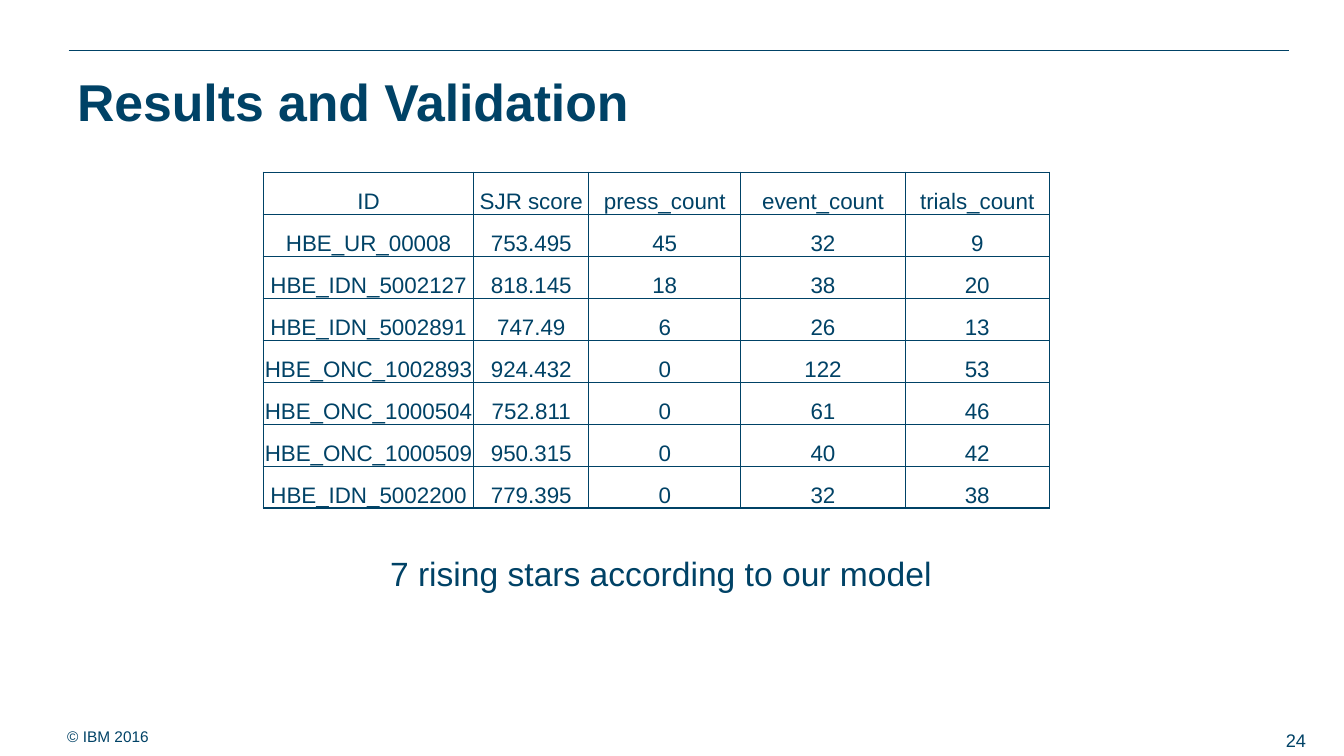
from lxml import etree
from pptx import Presentation
from pptx.dml.color import RGBColor
from pptx.enum.shapes import MSO_CONNECTOR
from pptx.enum.text import MSO_ANCHOR as Anchor, PP_ALIGN as Align
from pptx.oxml.ns import qn
from pptx.util import Pt

TITLE = "Results and Validation"
CAPTION = "7 rising stars according to our model"
COPYRIGHT = "© IBM 2016"
PAGE_NUMBER = "24"
RESULTS = [
    ("ID", "SJR score", "press_count", "event_count", "trials_count"),
    ("HBE_UR_00008", "753.495", "45", "32", "9"),
    ("HBE_IDN_5002127", "818.145", "18", "38", "20"),
    ("HBE_IDN_5002891", "747.49", "6", "26", "13"),
    ("HBE_ONC_1002893", "924.432", "0", "122", "53"),
    ("HBE_ONC_1000504", "752.811", "0", "61", "46"),
    ("HBE_ONC_1000509", "950.315", "0", "40", "42"),
    ("HBE_IDN_5002200", "779.395", "0", "32", "38"),
]
COLUMN_WIDTHS = (150.5, 82, 108.7, 117.4, 103)
ROW_HEIGHT = 30
TABLE_LEFT, TABLE_TOP = 188, 123
NAVY = "004266"
FONT = "Arial"


def color(value):
    return RGBColor.from_string(value)


def write(frame, text, size, bold=False, align=Align.LEFT):
    paragraph = frame.paragraphs[0]
    paragraph.alignment = align
    run = paragraph.add_run()
    run.text = text
    run.font.name = FONT
    run.font.size = Pt(size)
    run.font.bold = bold
    run.font.color.rgb = color(NAVY)


def add_text(slide, text, box, size, inset=(7.2, 3.6), anchor=Anchor.TOP, **text_format):
    frame = slide.shapes.add_textbox(*map(Pt, box)).text_frame
    frame.word_wrap = True
    frame.vertical_anchor = anchor
    frame.margin_left = frame.margin_right = Pt(inset[0])
    frame.margin_top = frame.margin_bottom = Pt(inset[1])
    write(frame, text, size, **text_format)


def add_top_rule(slide):
    rule = slide.shapes.add_connector(
        MSO_CONNECTOR.STRAIGHT, Pt(49), Pt(36), Pt(921), Pt(36))
    rule.line.color.rgb = color(NAVY)
    rule.line.width = Pt(0.75)
    etree.SubElement(rule._element.spPr, qn("a:effectLst"))


def set_borders(cell):
    properties = cell._tc.get_or_add_tcPr()
    for position, side in enumerate(("a:lnL", "a:lnR", "a:lnT", "a:lnB")):
        border = etree.Element(qn(side), w=str(Pt(1)))
        fill = etree.SubElement(border, qn("a:solidFill"))
        etree.SubElement(fill, qn("a:srgbClr"), val=NAVY)
        properties.insert(position, border)


def add_results(slide):
    table = slide.shapes.add_table(
        len(RESULTS), len(COLUMN_WIDTHS), Pt(TABLE_LEFT), Pt(TABLE_TOP),
        Pt(sum(COLUMN_WIDTHS)), Pt(ROW_HEIGHT * len(RESULTS))).table
    table.first_row = table.horz_banding = False
    for column, width in zip(table.columns, COLUMN_WIDTHS):
        column.width = Pt(width)
    for row, values in zip(table.rows, RESULTS):
        row.height = Pt(ROW_HEIGHT)
        for cell, value in zip(row.cells, values):
            cell.fill.background()
            cell.vertical_anchor = Anchor.BOTTOM
            cell.margin_left = cell.margin_right = cell.margin_top = Pt(0.75)
            cell.margin_bottom = 0
            write(cell.text_frame, value, 16, align=Align.CENTER)
            set_borders(cell)


def main():
    deck = Presentation()
    deck.slide_width, deck.slide_height = Pt(960), Pt(540)
    slide = deck.slides.add_slide(deck.slide_layouts[6])
    add_top_rule(slide)
    add_text(slide, COPYRIGHT, (48, 514, 352, 24), 11, inset=(0, 0), anchor=Anchor.MIDDLE)
    add_text(slide, PAGE_NUMBER, (676, 519, 264, 19.5), 13,
             anchor=Anchor.MIDDLE, align=Align.RIGHT)
    add_text(slide, TITLE, (48, 46, 864, 47.5), 37, bold=True)
    add_results(slide)
    add_text(slide, CAPTION, (271.5, 391.7, 417, 36), 24)
    deck.save("out.pptx")


if __name__ == "__main__":
    main()
